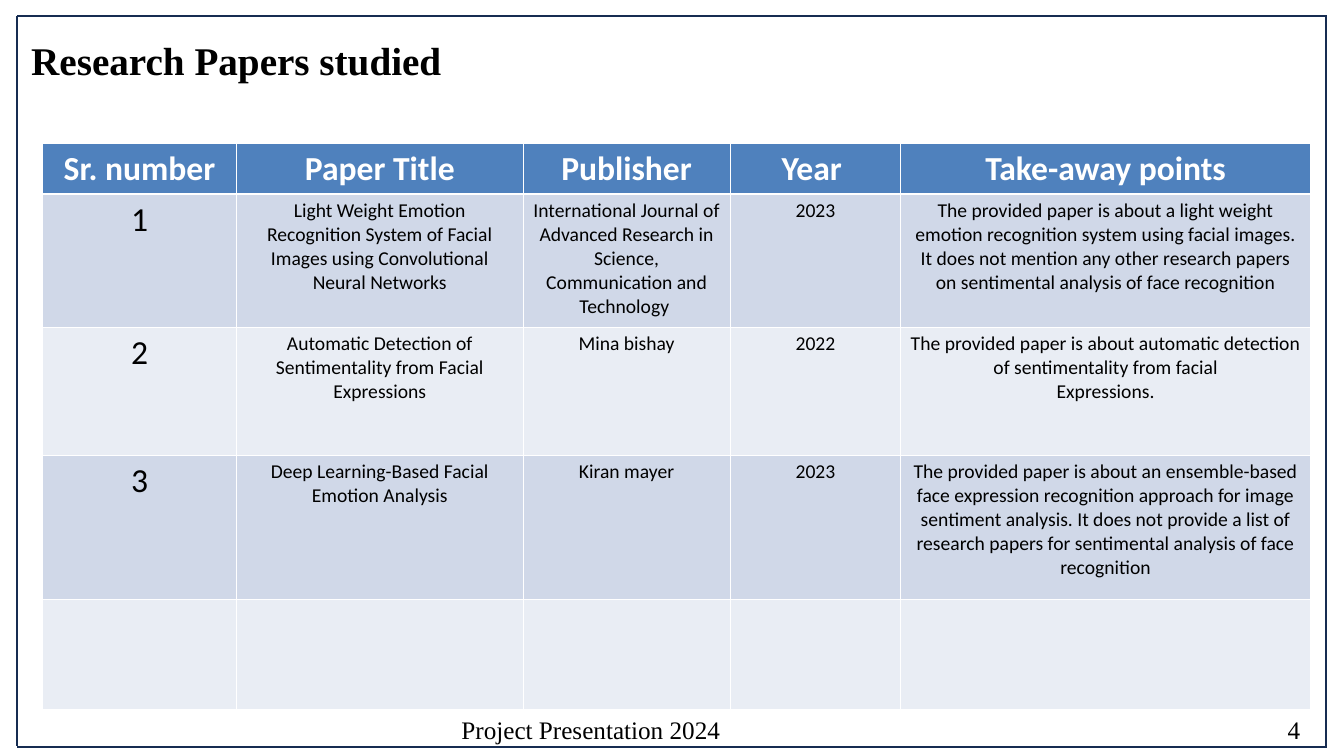
from dataclasses import dataclass

from lxml import etree
from pptx import Presentation
from pptx.dml.color import RGBColor
from pptx.enum.shapes import MSO_CONNECTOR
from pptx.enum.text import MSO_ANCHOR, MSO_AUTO_SIZE, PP_ALIGN
from pptx.oxml.ns import qn
from pptx.util import Inches, Pt

STRAIGHT = MSO_CONNECTOR.STRAIGHT
TOP = MSO_ANCHOR.TOP
NO_AUTOSIZE = MSO_AUTO_SIZE.NONE
LEFT, CENTER = PP_ALIGN.LEFT, PP_ALIGN.CENTER

BLACK = RGBColor(0x00, 0x00, 0x00)
WHITE = RGBColor(0xFF, 0xFF, 0xFF)
NAVY = RGBColor(0x16, 0x2C, 0x51)
HEADER_BLUE = RGBColor(0x4F, 0x81, 0xBD)
BAND_DARK = RGBColor(0xD0, 0xD8, 0xE8)
BAND_LIGHT = RGBColor(0xE9, 0xED, 0xF4)

SERIF, SANS = "Times New Roman", "Calibri"
THIN, THICK = Pt(0.45), Pt(1.47)
TITLE_ONLY = 5


@dataclass(frozen=True)
class Label:
    text: str
    left: float
    top: float
    width: float
    height: float
    size: int
    bold: bool = False


@dataclass(frozen=True)
class Edge:
    x1: float
    y1: float
    x2: float
    y2: float


TITLE = Label("Research Papers studied", 0.3, 0.36, 4.1, 0.47, 28, True)
FOOTERS = (
    Label("Project Presentation 2024", 4.57, 7.09, 2.59, 0.3, 18),
    Label("4", 12.77, 7.09, 0.15, 0.3, 18),
)
FRAME = (
    Edge(0.17, 0.16, 13.17, 0.16),
    Edge(0.17, 0.16, 0.17, 7.4),
    Edge(13.16, 0.16, 13.16, 7.4),
    Edge(0.17, 7.41, 13.17, 7.41),
)
COLUMN_WIDTHS = (1.93, 2.84, 2.06, 1.69, 4.07)
ROW_HEIGHTS = (0.5, 1.32, 1.27, 1.43, 1.09)
PAPERS = (
    ("Sr. number", "Paper Title", "Publisher", "Year ", "Take-away points"),
    (
        "1",
        "Light Weight Emotion Recognition System of Facial Images using Convolutional Neural Networks",
        "International Journal of Advanced Research in Science, Communication and Technology ",
        "2023",
        "The provided paper is about a light weight emotion recognition system using facial images. "
        "It does not mention any other research papers on sentimental analysis of face recognition",
    ),
    (
        "2",
        "Automatic Detection of Sentimentality from Facial Expressions",
        "Mina bishay",
        "2022",
        "The provided paper is about automatic detection of sentimentality from facial\nExpressions.",
    ),
    (
        "3",
        "Deep Learning-Based Facial Emotion Analysis",
        "Kiran mayer",
        "2023",
        "The provided paper is about an ensemble-based face expression recognition approach for image "
        "sentiment analysis. It does not provide a list of research papers for sentimental analysis "
        "of face recognition",
    ),
    ("",) * len(COLUMN_WIDTHS),
)


def apply_format(target, values: dict) -> None:
    for name, value in values.items():
        setattr(target, name, value)


def write_text(frame, text: str, align, font: dict) -> None:
    frame.text = text
    for para in frame.paragraphs:
        para.alignment = align
        target = para.runs[0].font if para.runs else para.font
        apply_format(target, {k: v for k, v in font.items() if k != "color"})
        target.color.rgb = font["color"]


def format_label(box, label: Label) -> None:
    apply_format(box, {
        "left": Inches(label.left), "top": Inches(label.top),
        "width": Inches(label.width), "height": Inches(label.height),
    })
    apply_format(box.text_frame, {
        "margin_left": Inches(0.01), "margin_right": 0, "margin_top": 0, "margin_bottom": 0,
        "word_wrap": False, "auto_size": NO_AUTOSIZE, "vertical_anchor": TOP,
    })
    write_text(box.text_frame, label.text, LEFT, {
        "name": SERIF, "size": Pt(label.size), "bold": label.bold, "color": BLACK,
    })
    for para in box.text_frame.paragraphs:
        para.line_spacing = 1.0


def draw_edge(page, edge: Edge) -> None:
    line = page.shapes.add_connector(
        STRAIGHT, Inches(edge.x1), Inches(edge.y1), Inches(edge.x2), Inches(edge.y2))
    line.line.color.rgb = NAVY
    line.line.width = Pt(1.05)
    etree.SubElement(line._element.spPr, qn("a:effectLst"))


def add_borders(cell, row: int) -> None:
    widths = {
        "a:lnL": THIN,
        "a:lnR": THIN,
        "a:lnT": THICK if row == 1 else THIN,
        "a:lnB": THICK if row == 0 else THIN,
    }
    properties = cell._tc.get_or_add_tcPr()
    for tag, width in widths.items():
        border = etree.SubElement(properties, qn(tag), w=str(width))
        fill = etree.SubElement(border, qn("a:solidFill"))
        etree.SubElement(fill, qn("a:srgbClr"), val=str(WHITE))


def draw_cell(cell, text: str, row: int, column: int) -> None:
    header = row == 0
    add_borders(cell, row)
    cell.fill.solid()
    cell.fill.fore_color.rgb = HEADER_BLUE if header else BAND_DARK if row % 2 else BAND_LIGHT
    write_text(cell.text_frame, text, CENTER, {
        "name": SANS,
        "size": Pt(24 if header or column == 0 else 14),
        "bold": header,
        "color": WHITE if header else BLACK,
    })


def draw_table(page) -> None:
    table = page.shapes.add_table(
        len(ROW_HEIGHTS), len(COLUMN_WIDTHS), Inches(0.42), Inches(1.42),
        Inches(sum(COLUMN_WIDTHS)), Inches(sum(ROW_HEIGHTS))).table
    for column, width in zip(table.columns, COLUMN_WIDTHS):
        column.width = Inches(width)
    for row, height in zip(table.rows, ROW_HEIGHTS):
        row.height = Inches(height)
    for row, texts in enumerate(PAPERS):
        for column, text in enumerate(texts):
            draw_cell(table.cell(row, column), text, row, column)


def main() -> None:
    deck = Presentation()
    deck.slide_width, deck.slide_height = Inches(13.34), Inches(7.5)
    page = deck.slides.add_slide(deck.slide_layouts[TITLE_ONLY])
    format_label(page.shapes.title, TITLE)
    for label in FOOTERS:
        format_label(page.shapes.add_textbox(0, 0, 0, 0), label)
    for edge in FRAME:
        draw_edge(page, edge)
    draw_table(page)
    deck.save("out.pptx")


if __name__ == "__main__":
    main()
